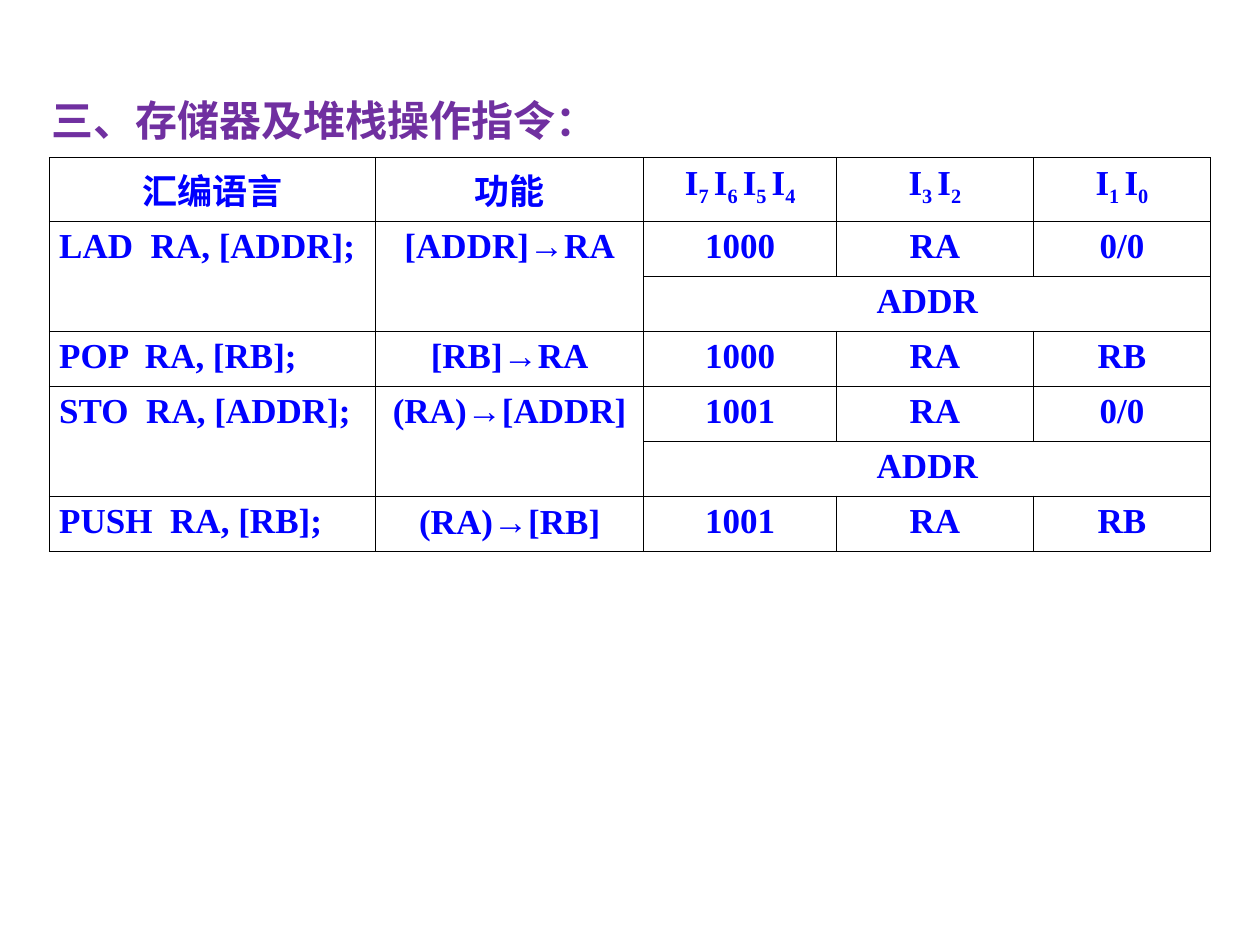
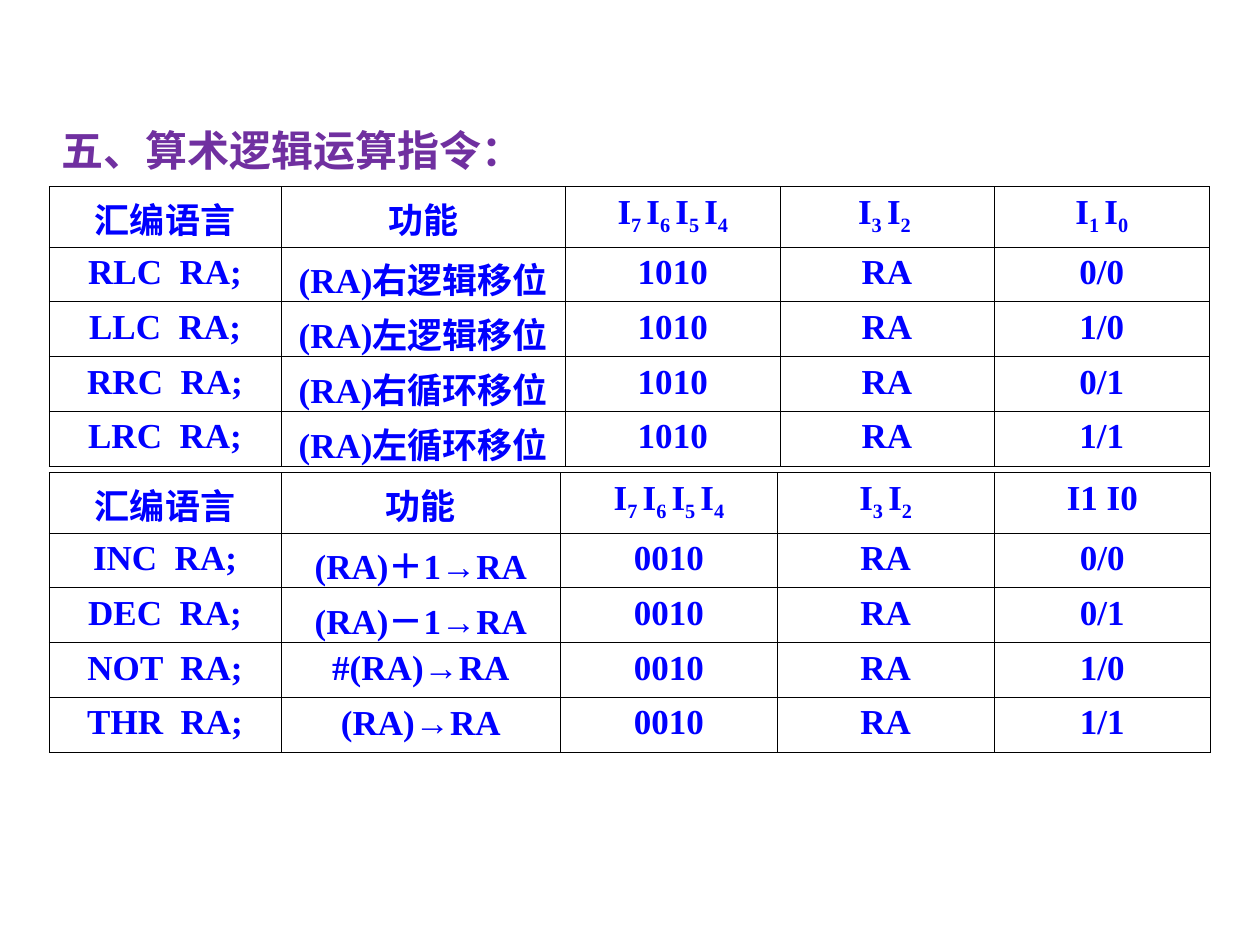
from dataclasses import dataclass

from lxml import etree
from pptx import Presentation
from pptx import util as u
from pptx.dml.color import RGBColor
from pptx.enum import text
from pptx.oxml import ns


# Theme
@dataclass(frozen=True)
class Theme:
    font: str = "Times New Roman"
    arrow_font: str = "Arial"
    title_color: str = "7030A0"
    table_color: str = "0000FF"
    border_color: str = "000000"
    title_size: int = 24
    table_size: int = 20
    border_width: float = 0.45


THEME = Theme()
LEFT, CENTER = text.PP_ALIGN.LEFT, text.PP_ALIGN.CENTER
ARROW = "→"
TABLE_LEFT = 0.39
HEADER_HEIGHT = 0.48


def register_bits(*subscripts):
    """Runs for register bits: each I is followed by its subscript."""
    return [run for index in subscripts for run in (("I", 0), (index, -25))]


def split_arrow(content):
    before, arrow, after = content.partition(ARROW)
    return [(part, 0) for part in (before, arrow, after) if part]


def write(frame, content, *, size, color, align=LEFT):
    """Write a string, or (text, baseline) runs, as one bold paragraph."""
    paragraph = frame.paragraphs[0]
    paragraph.alignment = align
    runs = split_arrow(content) if isinstance(content, str) else content
    for words, baseline in runs:
        run = paragraph.add_run()
        run.text = words
        run.font.name = THEME.arrow_font if words == ARROW else THEME.font
        run.font.size = u.Pt(size)
        run.font.bold = True
        run.font.color.rgb = RGBColor.from_string(color)
        if baseline:
            run.font._element.set("baseline", str(baseline * 1000))


class Deck:
    def __init__(self):
        self.presentation = Presentation()
        self.presentation.slide_width = u.Inches(10)
        self.presentation.slide_height = u.Inches(7.5)
        self.slide = None

    def add_slide(self):
        blank = self.presentation.slide_layouts[6]
        self.slide = self.presentation.slides.add_slide(blank)

    def title(self, content, left, top):
        box = self.slide.shapes.add_textbox(
            u.Inches(left), u.Inches(top), u.Inches(7.73), u.Inches(0.5))
        frame = box.text_frame
        frame.word_wrap = True
        frame.auto_size = text.MSO_AUTO_SIZE.SHAPE_TO_FIT_TEXT
        write(frame, content, size=THEME.title_size, color=THEME.title_color)

    def border(self, cell):
        properties = cell._tc.get_or_add_tcPr()
        for side in ("lnL", "lnR", "lnT", "lnB"):
            line = etree.SubElement(properties, ns.qn(f"a:{side}"),
                                    w=str(u.Pt(THEME.border_width)))
            fill = etree.SubElement(line, ns.qn("a:solidFill"))
            etree.SubElement(fill, ns.qn("a:srgbClr"), val=THEME.border_color)

    def table(self, rows, top, height, widths, merges=(), first_align=CENTER):
        shape = self.slide.shapes.add_table(
            len(rows), len(widths), u.Inches(TABLE_LEFT), u.Inches(top),
            u.Inches(sum(widths)), u.Inches(height))
        table = shape.table
        table.first_row = table.horz_banding = False
        for column, width in zip(table.columns, widths):
            column.width = u.Inches(width)
        body_height = (height - HEADER_HEIGHT) / (len(rows) - 1)
        for number, row in enumerate(table.rows):
            row.height = u.Inches(body_height if number else HEADER_HEIGHT)
        for first, last in merges:
            table.cell(*first).merge(table.cell(*last))
        for number, contents in enumerate(rows):
            for position, content in enumerate(contents):
                cell = table.cell(number, position)
                cell.margin_left = cell.margin_right = u.Inches(0.08)
                self.border(cell)
                cell.fill.background()
                if content:
                    align = first_align if number and not position else CENTER
                    write(cell.text_frame, content, size=THEME.table_size,
                          color=THEME.table_color, align=align)


def header(middle, low):
    return ["汇编语言", "功能", register_bits("7 ", "6 ", "5 ", "4"), middle, low]


def operation_rows(operations, opcode):
    return [[f"{name}  RA;", action, opcode, "RA", low]
            for name, action, low in operations]


def memory_slide(deck):
    deck.add_slide()
    address_row = [None, None, "ADDR", None, None]
    rows = [
        header(register_bits("3 ", "2"), register_bits("1 ", "0")),
        ["LAD  RA, [ADDR];", "[ADDR]→RA", "1000", "RA", "0/0"],
        address_row,
        ["POP  RA, [RB];", "[RB]→RA", "1000", "RA", "RB"],
        ["STO  RA, [ADDR];", "(RA)→[ADDR]", "1001", "RA", "0/0"],
        address_row,
        ["PUSH  RA, [RB];", "(RA)→[RB]", "1001", "RA", "RB"],
    ]
    # Two-word instructions span two rows and hold the address in the second
    merges = []
    for start in (1, 4):
        merges += [((start, column), (start + 1, column)) for column in (0, 1)]
        merges.append(((start + 1, 2), (start + 1, 4)))
    deck.table(rows, 1.25, 3.1, [2.59, 2.13, 1.53, 1.56, 1.41],
               merges, first_align=LEFT)
    deck.title("三、存储器及堆栈操作指令：", 0.31, 0.7)


def arithmetic_slide(deck):
    deck.add_slide()
    deck.title("五、算术逻辑运算指令：", 0.39, 0.94)
    # Shift instructions
    shifts = [("RLC", "(RA)右逻辑移位", "0/0"), ("LLC", "(RA)左逻辑移位", "1/0"),
              ("RRC", "(RA)右循环移位", "0/1"), ("LRC", "(RA)左循环移位", "1/1")]
    shift_header = header(register_bits("3 ", "2 "), register_bits("1 ", "0"))
    deck.table([shift_header] + operation_rows(shifts, "1010"),
               1.48, 2.22, [1.84, 2.26, 1.7, 1.7, 1.71])
    # Single-operand instructions
    unary = [("INC", "(RA)＋1→RA", "0/0"), ("DEC", "(RA)－1→RA", "0/1"),
             ("NOT", "#(RA)→RA", "1/0"), ("THR", "(RA)→RA", "1/1")]
    unary_header = header(register_bits("3 ", "2"), "I1 I0")
    deck.table([unary_header] + operation_rows(unary, "0010"),
               3.75, 2.22, [1.84, 2.22, 1.72, 1.72, 1.72])


def main():
    deck = Deck()
    memory_slide(deck)
    arithmetic_slide(deck)
    deck.presentation.save("out.pptx")


if __name__ == "__main__":
    main()
